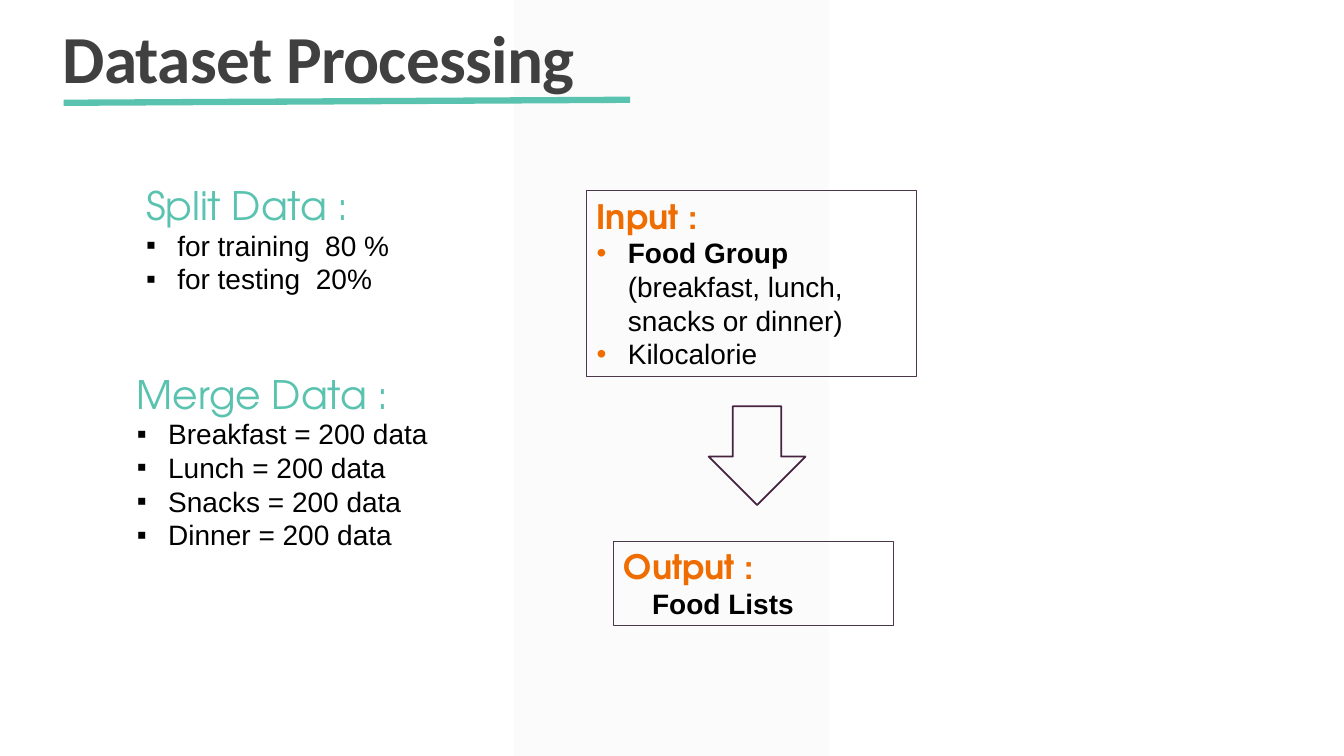
from lxml.etree import SubElement
from pptx import Presentation
from pptx.dml.color import RGBColor
from pptx.enum.shapes import MSO_CONNECTOR, MSO_SHAPE
from pptx.enum.text import MSO_ANCHOR, MSO_AUTO_SIZE, PP_ALIGN
from pptx.oxml.ns import qn
from pptx.util import Inches, Pt

TEAL = RGBColor(0x59, 0xC3, 0xAF)
ORANGE = RGBColor(0xEF, 0x6C, 0x00)
BLACK = RGBColor(0x00, 0x00, 0x00)
CHARCOAL = RGBColor(0x40, 0x40, 0x40)
PALE_GREY = RGBColor(0xF2, 0xF2, 0xF2)
FRAME_PURPLE = RGBColor(0x4B, 0x37, 0x4B)
ARROW_PURPLE = RGBColor(0x46, 0x23, 0x40)
HEADING_FONT = "TeX Gyre Adventor"

deck = Presentation()
deck.slide_width, deck.slide_height = Inches(13.33), Inches(7.5)
page = deck.slides.add_slide(deck.slide_layouts[5])

# Grid of 100 columns by 100 rows
COLUMN, ROW = deck.slide_width / 100, deck.slide_height / 100


def on_grid(left, top, width, height):
    return [int(length) for length in (left * COLUMN, top * ROW, width * COLUMN, height * ROW)]


def write(para, text, size=20, font="Arial", color=BLACK, bold=False):
    span = para.add_run()
    span.text = text
    span.font.size, span.font.name, span.font.bold = Pt(size), font, bold
    span.font.color.rgb = color
    return span


# Pale band behind everything
band = page.shapes.add_shape(MSO_SHAPE.RECTANGLE, *on_grid(38.25, 0, 23.4, 100))
band.shadow.inherit = False
band.line.fill.background()
band.fill.solid()
band.fill.fore_color.rgb = PALE_GREY
SubElement(band.fill._xPr.find(".//" + qn("a:srgbClr")), qn("a:alpha"), val="30000")
page.shapes._spTree.insert(2, band._element)

# Title and its underline
title = page.shapes.title
title.left, title.top, title.width, title.height = on_grid(3.9, 1.33, 49.05, 12.27)
title.text_frame.auto_size = MSO_AUTO_SIZE.NONE
title.text_frame.vertical_anchor = MSO_ANCHOR.BOTTOM
para = title.text_frame.paragraphs[0]
para.alignment = PP_ALIGN.LEFT
para.line_spacing = 0.9
span = write(para, "Dataset Processing", size=48, font="Calibri", color=CHARCOAL, bold=True)
span.font._element.set("spc", "-50")

start_x, start_y, end_x, end_y = on_grid(4.73, 13.6, 46.88, 13.2)
underline = page.shapes.add_connector(MSO_CONNECTOR.STRAIGHT, start_x, start_y, end_x, end_y)
underline.line.color.rgb = TEAL
underline.line.width = Pt(4.5)
SubElement(underline._element.spPr, qn("a:effectLst"))

# Panels: area, heading, bullet, items as (text, bold) spans
plain_heading = dict(size=28, font=HEADING_FONT, color=TEAL)
framed_heading = dict(size=24, font=HEADING_FONT, color=ORANGE, bold=True)
panels = [
    ((10.13, 23.33, 22.5, 16.67), "Split Data :", plain_heading, "▪",
     [[("for training  80 %", False)], [("for testing  20%", False)]]),
    ((9.45, 48.27, 25.73, 25.6), "Merge Data :", plain_heading, "▪",
     [[(f"{meal} = 200 data", False)] for meal in ("Breakfast", "Lunch", "Snacks", "Dinner")]),
    ((43.65, 25.2, 24.53, 24.67), "Input :", framed_heading, "•",
     [[("Food Group ", True), ("(breakfast, lunch, snacks or dinner)", False)],
      [("Kilocalorie", False)]]),
    ((45.68, 71.6, 20.78, 11.2), "Output :", framed_heading, None,
     [[("Food Lists", True)]]),
]
for area, heading, heading_format, bullet, items in panels:
    box = page.shapes.add_textbox(*on_grid(*area))
    box.text_frame.word_wrap = True
    if heading_format is framed_heading:
        box.line.color.rgb = FRAME_PURPLE
        box.line.width = Pt(0.75)
    write(box.text_frame.paragraphs[0], heading, **heading_format)
    for item in items:
        para = box.text_frame.add_paragraph()
        properties = para._p.get_or_add_pPr()
        indent = Inches(0.31 if bullet else 0.28)
        properties.set("marL", str(indent))
        if bullet:
            properties.set("indent", str(-indent))
            if heading_format is framed_heading:
                bullet_color = SubElement(properties, qn("a:buClr"))
                SubElement(bullet_color, qn("a:srgbClr"), val=str(ORANGE))
            SubElement(properties, qn("a:buFont"), typeface="Arial")
            SubElement(properties, qn("a:buChar"), char=bullet)
        for text, bold in item:
            write(para, text, bold=bold)

# Arrow from input to output
arrow = page.shapes.add_shape(MSO_SHAPE.DOWN_ARROW, *on_grid(52.73, 53.73, 7.2, 13.07))
arrow.shadow.inherit = False
arrow.fill.background()
arrow.line.color.rgb = ARROW_PURPLE
arrow.line.width = Pt(1.25)

deck.save("out.pptx")
